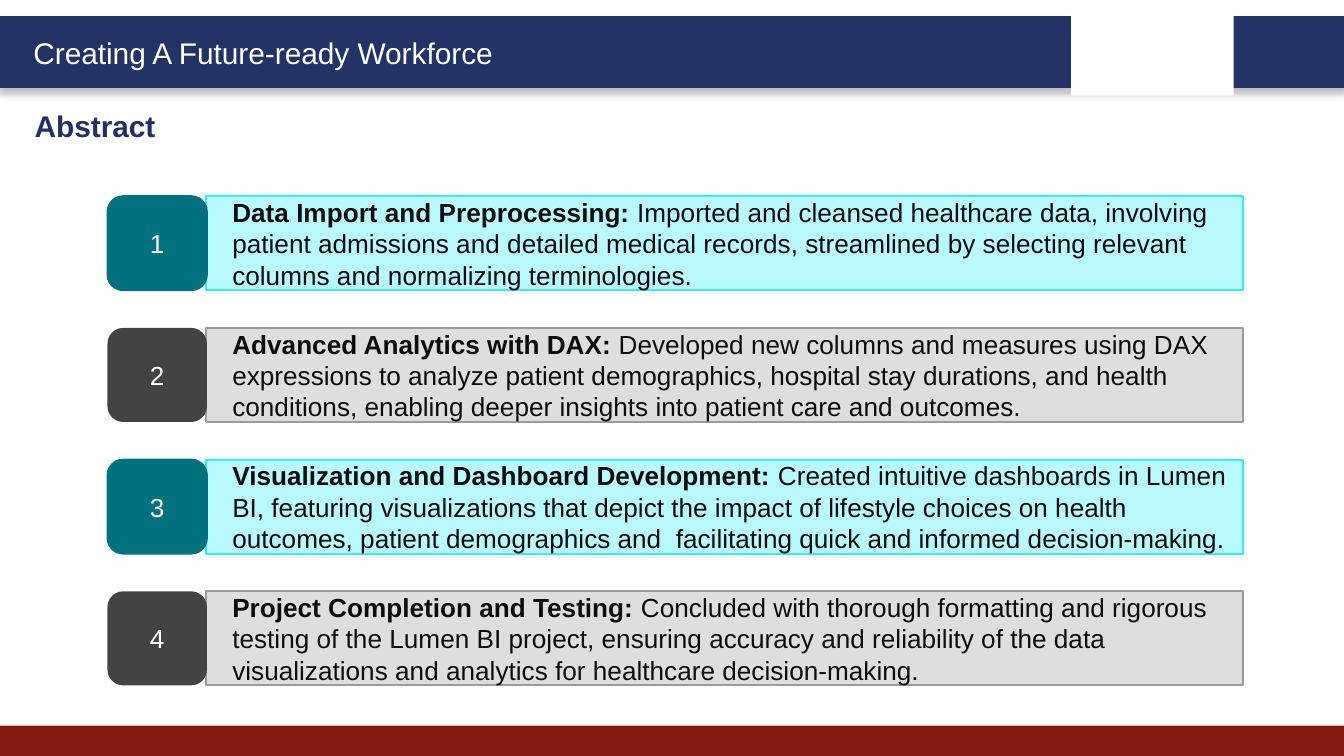
from lxml import etree
from pptx import Presentation
from pptx.dml.color import RGBColor
from pptx.enum import shapes, text
from pptx.oxml import ns
from pptx.util import Inches, Pt

FONT = "Arial"
WHITE, NAVY, RED, INK = "FFFFFF", "223366", "851910", "0D0D0D"
# Badge fill, badge line, panel fill, panel line
TEAL = ("00717D", "00717D", "BAF8FF", "31EBFF")
GREY = ("434343", None, "DEDEDE", "9B9B9B")

STEPS = [
    ("Data Import and Preprocessing:",
     " Imported and cleansed healthcare data, involving patient admissions and "
     "detailed medical records, streamlined by selecting relevant columns and "
     "normalizing terminologies."),
    ("Advanced Analytics with DAX:",
     " Developed new columns and measures using DAX expressions to analyze "
     "patient demographics, hospital stay durations, and health conditions, "
     "enabling deeper insights into patient care and outcomes."),
    ("Visualization and Dashboard Development:",
     " Created intuitive dashboards in Lumen BI, featuring visualizations that "
     "depict the impact of lifestyle choices on health outcomes, patient "
     "demographics and  facilitating quick and informed decision-making."),
    ("Project Completion and Testing:",
     " Concluded with thorough formatting and rigorous testing of the Lumen BI "
     "project, ensuring accuracy and reliability of the data visualizations and "
     "analytics for healthcare decision-making."),
]
FIRST_TOP, STEP_PITCH, STEP_HEIGHT = 1.46, 0.98, 0.7


def color(value):
    return RGBColor.from_string(value)


def add_box(slide, kind, box, fill, line=None, line_width=1):
    shape = slide.shapes.add_shape(kind, *map(Inches, box))
    shape.shadow.inherit = False
    shape.fill.solid()
    shape.fill.fore_color.rgb = color(fill)
    if line:
        shape.line.color.rgb = color(line)
        shape.line.width = Pt(line_width)
    else:
        shape.line.fill.background()
    return shape


def add_shadow(shape, value, opacity, blur, distance, angle):
    effects = shape._element.spPr.find(ns.qn("a:effectLst"))
    shadow = etree.SubElement(
        effects, ns.qn("a:outerShdw"), blurRad=str(Pt(blur)), dist=str(Pt(distance)),
        dir=str(angle * 60000), algn="t", rotWithShape="0")
    shade = etree.SubElement(shadow, ns.qn("a:srgbClr"), val=value)
    etree.SubElement(shade, ns.qn("a:alpha"), val=str(opacity * 1000))


def add_run(paragraph, words, size, value, bold=False):
    run = paragraph.add_run()
    run.text = words
    run.font.name = FONT
    run.font.size = Pt(size)
    run.font.bold = bold
    run.font.color.rgb = color(value)


def add_heading(slide, box, words, value, bold=False):
    frame = slide.shapes.add_textbox(*map(Inches, box)).text_frame
    frame.word_wrap = True
    frame.auto_size = text.MSO_AUTO_SIZE.SHAPE_TO_FIT_TEXT
    add_run(frame.paragraphs[0], words, 16, value, bold)


def start_paragraph(shape, alignment, indent=0):
    frame = shape.text_frame
    frame.word_wrap = True
    frame.vertical_anchor = text.MSO_ANCHOR.MIDDLE
    paragraph = frame.paragraphs[0]
    paragraph.alignment = alignment
    if indent:
        paragraph._p.get_or_add_pPr().set("marL", str(Inches(indent)))
    return paragraph


def add_step(slide, index, title, description):
    badge_fill, badge_line, panel_fill, panel_line = (TEAL, GREY)[index % 2]
    top = FIRST_TOP + index * STEP_PITCH

    panel = add_box(slide, shapes.MSO_SHAPE.RECTANGLE,
                    (1.53, top, 7.72, STEP_HEIGHT), panel_fill, panel_line)
    paragraph = start_paragraph(panel, text.PP_ALIGN.LEFT, indent=0.1)
    add_run(paragraph, title, 14, INK, bold=True)
    add_run(paragraph, description, 14, INK)

    badge = add_box(slide, shapes.MSO_SHAPE.ROUNDED_RECTANGLE,
                    (0.8, top, 0.74, STEP_HEIGHT), badge_fill, badge_line)
    paragraph = start_paragraph(badge, text.PP_ALIGN.CENTER)
    add_run(paragraph, str(index + 1), 14, WHITE)


def main():
    # Widescreen page, 16 to 9
    presentation = Presentation()
    presentation.slide_width = Inches(10)
    presentation.slide_height = Inches(10) * 9 // 16
    slide = presentation.slides.add_slide(presentation.slide_layouts[6])

    # Header band with its white panel, and footer band
    rectangle = shapes.MSO_SHAPE.RECTANGLE
    header = add_box(slide, rectangle, (0, 0.13, 10, 0.51), NAVY, NAVY, 2)
    add_shadow(header, "000000", opacity=25, blur=4, distance=3, angle=90)
    add_box(slide, rectangle, (0, 5.4, 10, 0.23), RED)
    add_box(slide, rectangle, (7.97, 0.07, 1.21, 0.64), WHITE)

    # Headings
    add_heading(slide, (0.15, 0.21, 3.78, 0.37), "Creating A Future-ready Workforce", WHITE)
    add_heading(slide, (0.16, 0.75, 4.84, 0.37), "Abstract", "213163", bold=True)

    # Numbered steps
    for index, (title, description) in enumerate(STEPS):
        add_step(slide, index, title, description)

    presentation.save("out.pptx")


if __name__ == "__main__":
    main()
